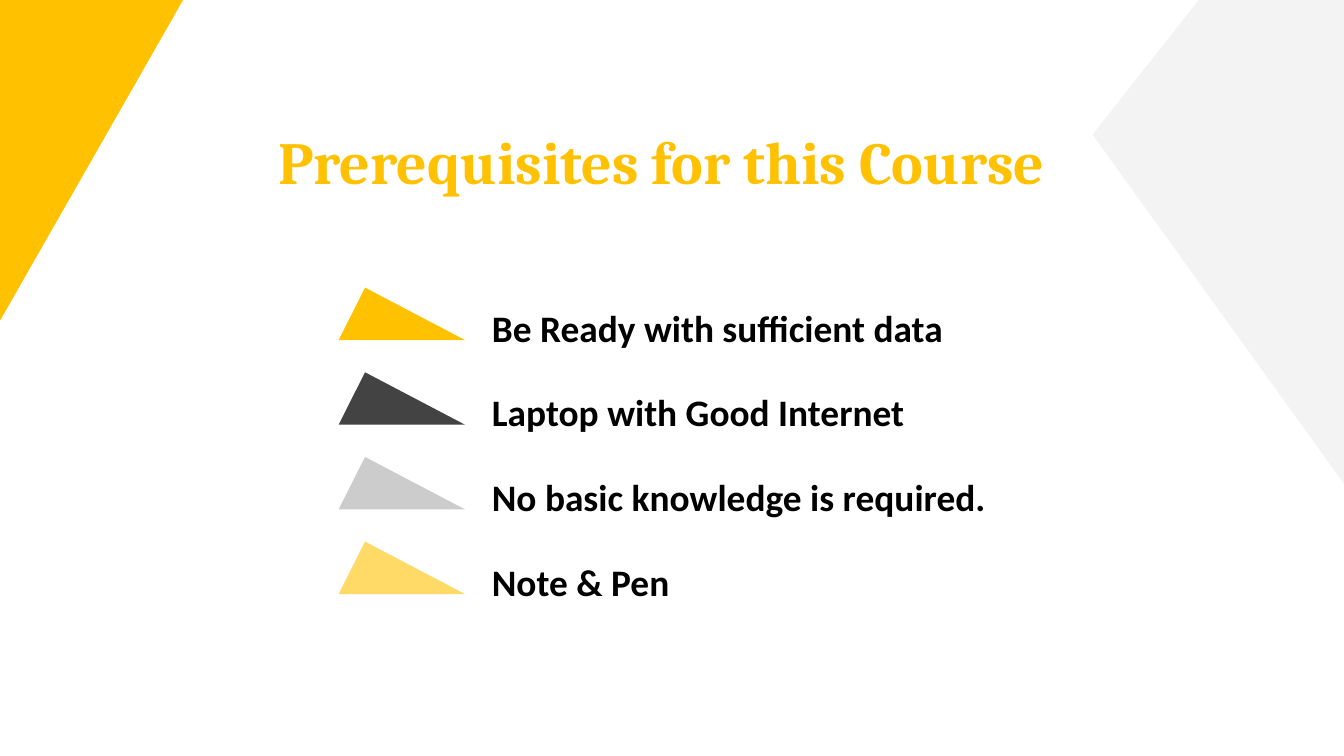
from pptx import Presentation
from pptx.dml.color import RGBColor
from pptx.enum.shapes import MSO_SHAPE as Shape
from pptx.enum.text import MSO_ANCHOR as Anchor, PP_ALIGN as Align
from pptx.util import Inches, Pt

YELLOW = RGBColor(0xFF, 0xC1, 0x00)
PALE_YELLOW = RGBColor(0xFF, 0xDA, 0x66)
CHARCOAL = RGBColor(0x43, 0x43, 0x43)
SILVER = RGBColor(0xCC, 0xCC, 0xCC)
MIST = RGBColor(0xF3, 0xF3, 0xF3)
BLACK = RGBColor(0, 0, 0)

TITLE = "Prerequisites for this Course"
PREREQUISITES = [
    ("Be Ready with sufficient data", YELLOW),
    ("Laptop with Good Internet", CHARCOAL),
    ("No basic knowledge is required.", SILVER),
    ("Note & Pen", PALE_YELLOW),
]
TITLE_FONT = {"name": "Cambria", "size": Pt(32), "bold": True}
ITEM_FONT = {"name": "Calibri", "size": Pt(20), "bold": True}
INSET = Inches(0.13)


def add_triangle(page, kind, box, color, rotation=0, apex=None):
    """Place a plain filled triangle; apex is its share of the width."""
    triangle = page.shapes.add_shape(kind, *map(Inches, box))
    triangle.shadow.inherit = False
    triangle.fill.solid()
    triangle.fill.fore_color.rgb = color
    triangle.line.fill.background()
    triangle.rotation = rotation
    if apex is not None:
        triangle.adjustments[0] = apex


def add_text(page, box, lines, font, color, anchor=Anchor.TOP, space_after=0):
    """Place a text box with one paragraph for each line."""
    frame = page.shapes.add_textbox(*map(Inches, box)).text_frame
    frame_format = {"word_wrap": True, "vertical_anchor": anchor,
                    "margin_left": INSET, "margin_right": INSET,
                    "margin_top": INSET, "margin_bottom": INSET}
    for name, value in frame_format.items():
        setattr(frame, name, value)
    for index, line in enumerate(lines):
        para = frame.add_paragraph() if index else frame.paragraphs[0]
        para.alignment = Align.LEFT
        para.space_after = Pt(space_after)
        span = para.add_run()
        span.text = line
        for name, value in font.items():
            setattr(span.font, name, value)
        span.font.color.rgb = color


def add_corners(page):
    """Place the triangles at the right edge and the top left corner."""
    add_triangle(page, Shape.ISOSCELES_TRIANGLE, (6.58, 0.18, 4.97, 1.87),
                 MIST, rotation=270, apex=0.523)
    add_triangle(page, Shape.RIGHT_TRIANGLE, (-0.52, 0.51, 2.4, 1.37),
                 YELLOW, rotation=90)


def add_prerequisites(page, box):
    """Place the list with a coloured triangle beside each line."""
    left, top, width, height = box
    row_step, text_offset = 0.63, 1.01
    for row, (_, color) in enumerate(PREREQUISITES):
        add_triangle(page, Shape.ISOSCELES_TRIANGLE,
                     (left, top + row * row_step, 0.94, 0.39),
                     color, apex=0.209)
    add_text(page, (left + text_offset, top, width - text_offset, height),
             [text for text, _ in PREREQUISITES], ITEM_FONT, BLACK,
             space_after=21.3)


def main():
    deck = Presentation()
    # Widescreen, 16 to 9
    deck.slide_width = Inches(10)
    deck.slide_height = deck.slide_width * 9 // 16
    page = deck.slides.add_slide(deck.slide_layouts[6])
    add_corners(page)
    add_text(page, (1.94, 0.73, 6.76, 0.86), [TITLE], TITLE_FONT, YELLOW,
             anchor=Anchor.BOTTOM)
    add_prerequisites(page, (2.52, 2.14, 5.59, 3.09))
    deck.save("out.pptx")


if __name__ == "__main__":
    main()
